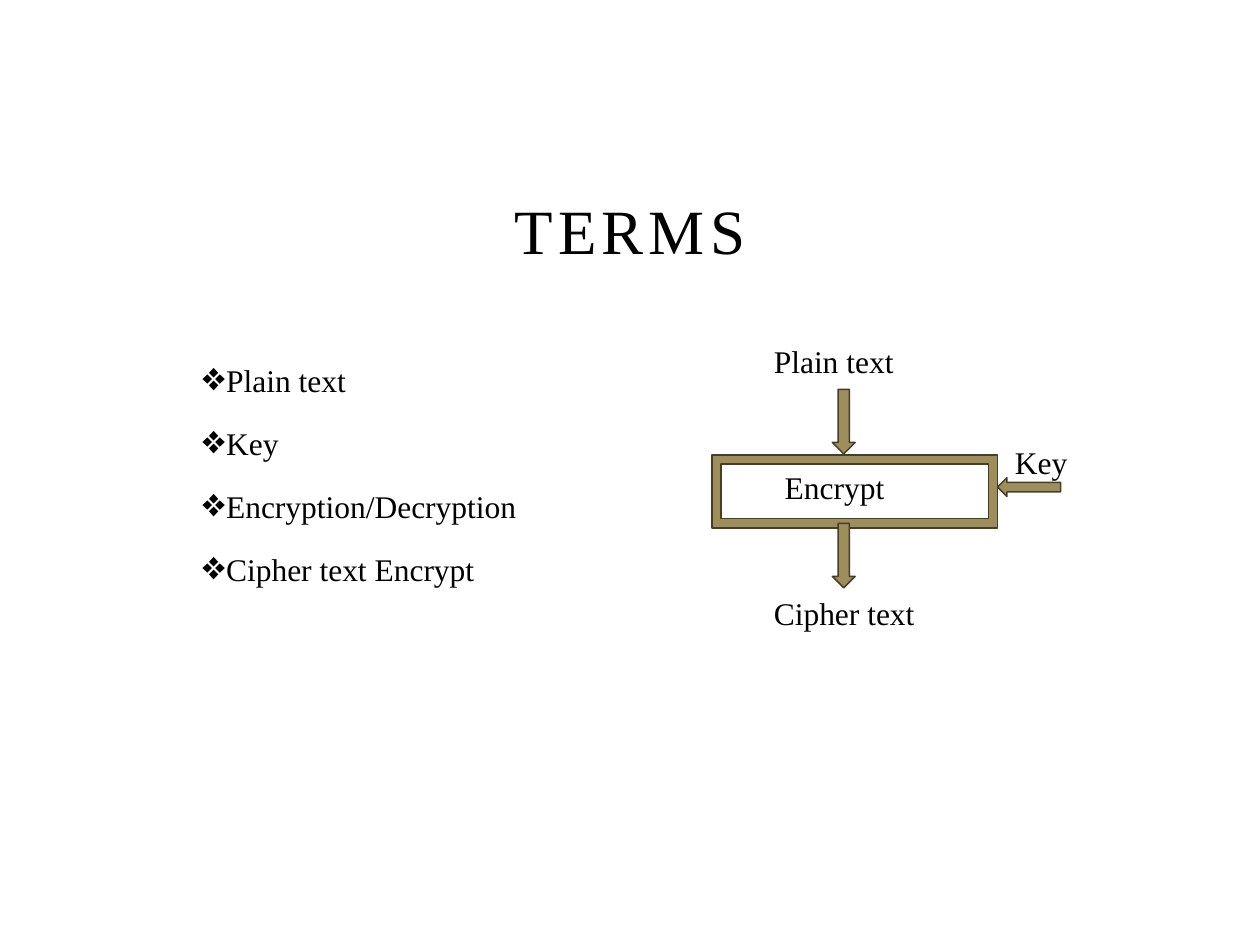
from lxml import etree
from pptx import Presentation
from pptx import util as u
from pptx.dml.color import RGBColor
from pptx.enum import shapes, text
from pptx.oxml.ns import qn

FONT = "Times New Roman"
BLACK, TAN, BROWN = "000000", "9E8E5C", "453E28"


def rgb(hex_code):
    return RGBColor.from_string(hex_code)


def cm_box(x, y, w, h):
    return u.Cm(x), u.Cm(y), u.Cm(w), u.Cm(h)


def add_text_frame(s, box):
    tf = s.shapes.add_textbox(*cm_box(*box)).text_frame
    tf.word_wrap = True
    return tf


def add_run(p, wording, size=18):
    r = p.add_run()
    r.text = wording
    r.font.name = FONT
    r.font.size = u.Pt(size)
    r.font.color.rgb = rgb(BLACK)
    return r


def add_bullet(p, char):
    pPr = p._p.get_or_add_pPr()
    pPr.set("marL", "0")
    pPr.set("indent", str(-u.Cm(0.76)))
    etree.SubElement(pPr, qn("a:buFont")).set("typeface", FONT)
    etree.SubElement(pPr, qn("a:buChar")).set("char", char)


def add_block(s, kind, box):
    sp = s.shapes.add_shape(kind, *cm_box(*box))
    sp.shadow.inherit = False
    sp.fill.solid()
    sp.fill.fore_color.rgb = rgb(TAN)
    sp.line.color.rgb = rgb(BROWN)
    sp.line.width = u.Pt(0.85)


def add_title(s, box, wording):
    tf = add_text_frame(s, box)
    tf.vertical_anchor = text.MSO_ANCHOR.BOTTOM
    p = tf.paragraphs[0]
    p.alignment = text.PP_ALIGN.CENTER
    r = add_run(p, wording, 36)
    r.font._element.set("spc", "300")  # letter spacing, 3 pt


def add_terms(s, box, terms):
    tf = add_text_frame(s, box)
    for i, term in enumerate(terms):
        p = tf.add_paragraph() if i else tf.paragraphs[0]
        add_bullet(p, "❖")
        p.line_spacing = 1.5
        if i:
            p.space_before = u.Pt(3.6)
        add_run(p, term)


def add_encryption_diagram(s, x, y):
    kinds = shapes.MSO_SHAPE
    # Frame, then arrows in, out and from the key
    blocks = [
        (kinds.FRAME, 0, 2.39, 5.76, 1.47),
        (kinds.DOWN_ARROW, 2.43, 1.07, 0.46, 1.3),
        (kinds.DOWN_ARROW, 2.43, 3.77, 0.46, 1.3),
        (kinds.LEFT_ARROW, 5.76, 2.85, 1.27, 0.38),
    ]
    for kind, dx, dy, w, h in blocks:
        add_block(s, kind, (x + dx, y + dy, w, h))

    # Labels
    labels = [
        ("Plain text", 1, 0, 4.09),
        ("Encrypt", 1.22, 2.54, 2.87),
        ("Cipher text", 1, 5.07, 4.09),
        ("Key", 5.86, 2.03, 1.68),
    ]
    for wording, dx, dy, w in labels:
        tf = add_text_frame(s, (x + dx, y + dy, w, 1.02))
        add_run(tf.paragraphs[0], wording)


def main():
    prs = Presentation()
    prs.slide_width, prs.slide_height = u.Cm(25.4), u.Cm(19.05)
    s = prs.slides.add_slide(prs.slide_layouts[6])

    add_title(s, (3.81, 3.61, 17.78, 1.9), "TERMS")
    add_terms(s, (3.81, 6.78, 17.78, 8.46),
              ["Plain text", "Key", "Encryption/Decryption", "Cipher text Encrypt"])
    add_encryption_diagram(s, 14.35, 6.78)

    prs.save("out.pptx")


if __name__ == "__main__":
    main()
